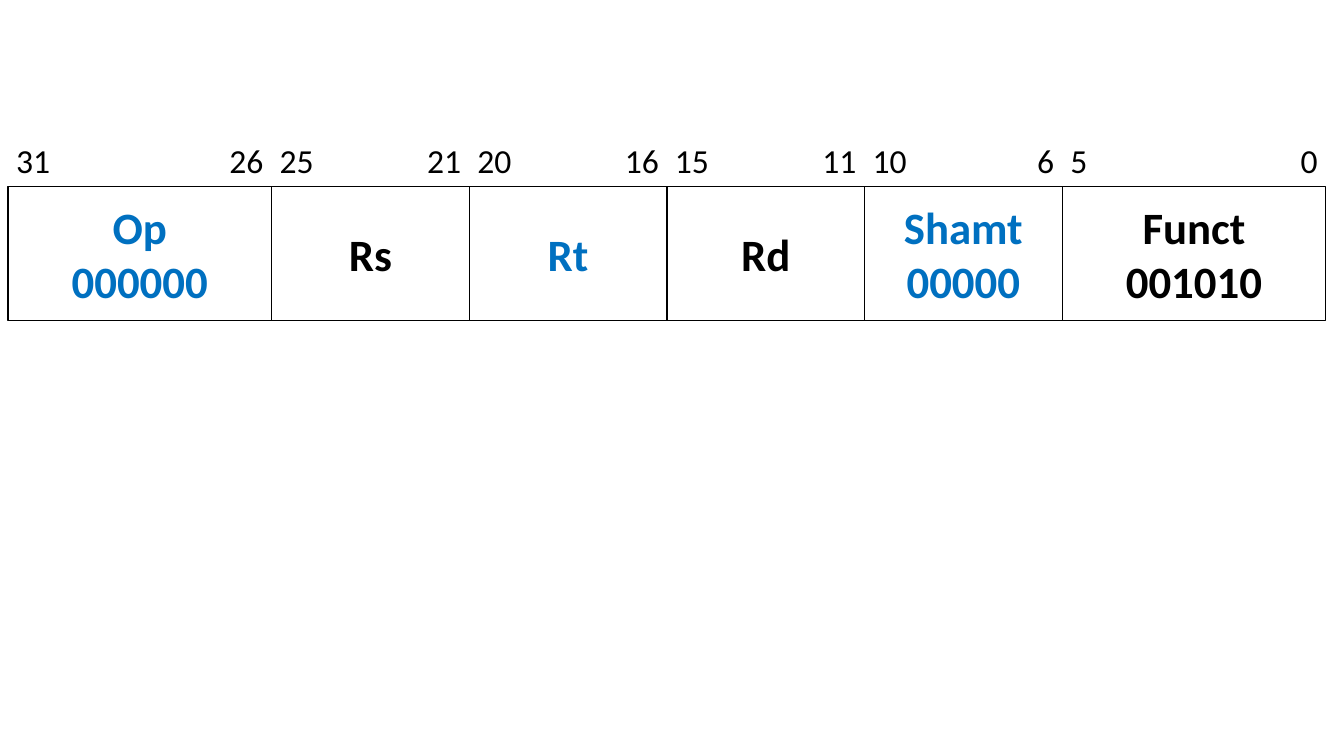
import pptx
import pptx.dml.color
import pptx.enum.shapes
import pptx.enum.text
import pptx.oxml.ns
import pptx.util
from lxml import etree

Inches = pptx.util.Inches
Pt = pptx.util.Pt

BLACK = pptx.dml.color.RGBColor(0x00, 0x00, 0x00)
BLUE = pptx.dml.color.RGBColor(0x00, 0x70, 0xC0)
FONT = "Calibri"

GRID_COLUMNS = 20
LABEL_GAP = Inches(0.08)

# columns wide, text lines, colour, highest bit, lowest bit
FIELDS = [
    (4, ["Op", "000000"], BLUE, 31, 26),
    (3, ["Rs"], BLACK, 25, 21),
    (3, ["Rt"], BLUE, 20, 16),
    (3, ["Rd"], BLACK, 15, 11),
    (3, ["Shamt", "00000"], BLUE, 10, 6),
    (4, ["Funct", "001010"], BLACK, 5, 0),
]


def set_font(para, size, color, bold=False):
    para.font.name = FONT
    para.font.size = Pt(size)
    para.font.bold = bold
    para.font.color.rgb = color


def field_spans(width):
    """Return the start and end of each field, measured from the left edge."""
    spans, column = [], 0
    for columns, *_ in FIELDS:
        end = column + columns
        spans.append((width * column // GRID_COLUMNS, width * end // GRID_COLUMNS))
        column = end
    return spans


def add_field_row(page, left, top, width, height):
    for (start, end), (_, lines, color, _, _) in zip(field_spans(width), FIELDS):
        field = page.shapes.add_shape(
            pptx.enum.shapes.MSO_SHAPE.RECTANGLE, left + start, top, end - start, height)
        field.shadow.inherit = False
        field.fill.background()
        field.line.color.rgb = BLACK
        field.line.width = Pt(1)
        frame = field.text_frame
        frame.vertical_anchor = pptx.enum.text.MSO_ANCHOR.MIDDLE
        frame.text = "\n".join(lines)
        for para in frame.paragraphs:
            para.alignment = pptx.enum.text.PP_ALIGN.CENTER
            set_font(para, 32, color, bold=True)


def add_tab_stops(para, stops):
    """Give the paragraph tab stops, each a position and an alignment."""
    qn = pptx.oxml.ns.qn
    tab_list = etree.Element(qn("a:tabLst"))
    for position, alignment in stops:
        etree.SubElement(tab_list, qn("a:tab"), pos=str(position), algn=alignment)
    para._p.get_or_add_pPr().insert(0, tab_list)


def add_bit_numbers(page, left, top, width, height):
    """Write the highest and lowest bit of each field at the field's two ends."""
    frame = page.shapes.add_textbox(left, top, width, height).text_frame
    frame.word_wrap = True
    frame.margin_left = LABEL_GAP
    frame.margin_right = 0
    para = frame.paragraphs[0]
    para.text = "\t".join(f"{high}\t{low}" for *_, high, low in FIELDS)
    stops = []
    for start, end in field_spans(width):
        stops += [(start, "l"), (end - 2 * LABEL_GAP, "r")]
    add_tab_stops(para, stops[1:])
    set_font(para, 24, BLACK)


def main():
    deck = pptx.Presentation()
    deck.slide_width = Inches(13.33)
    deck.slide_height = Inches(7.5)
    page = deck.slides.add_slide(deck.slide_layouts[6])
    left, width = Inches(0.08), Inches(13.07)
    add_field_row(page, left, Inches(1.85), width, Inches(1.33))
    add_bit_numbers(page, left, Inches(1.34), width, Inches(0.5))
    deck.save("out.pptx")


if __name__ == "__main__":
    main()
